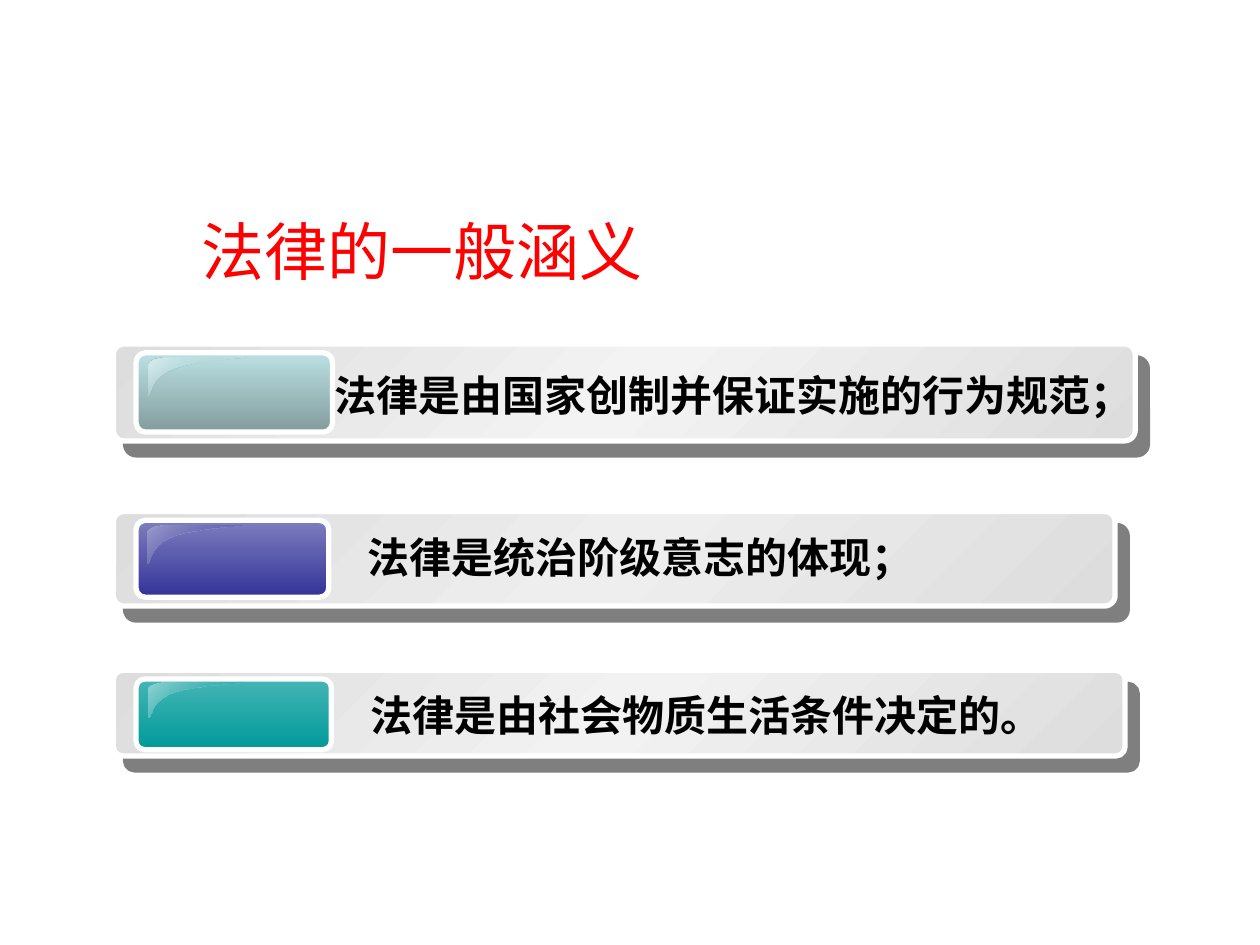
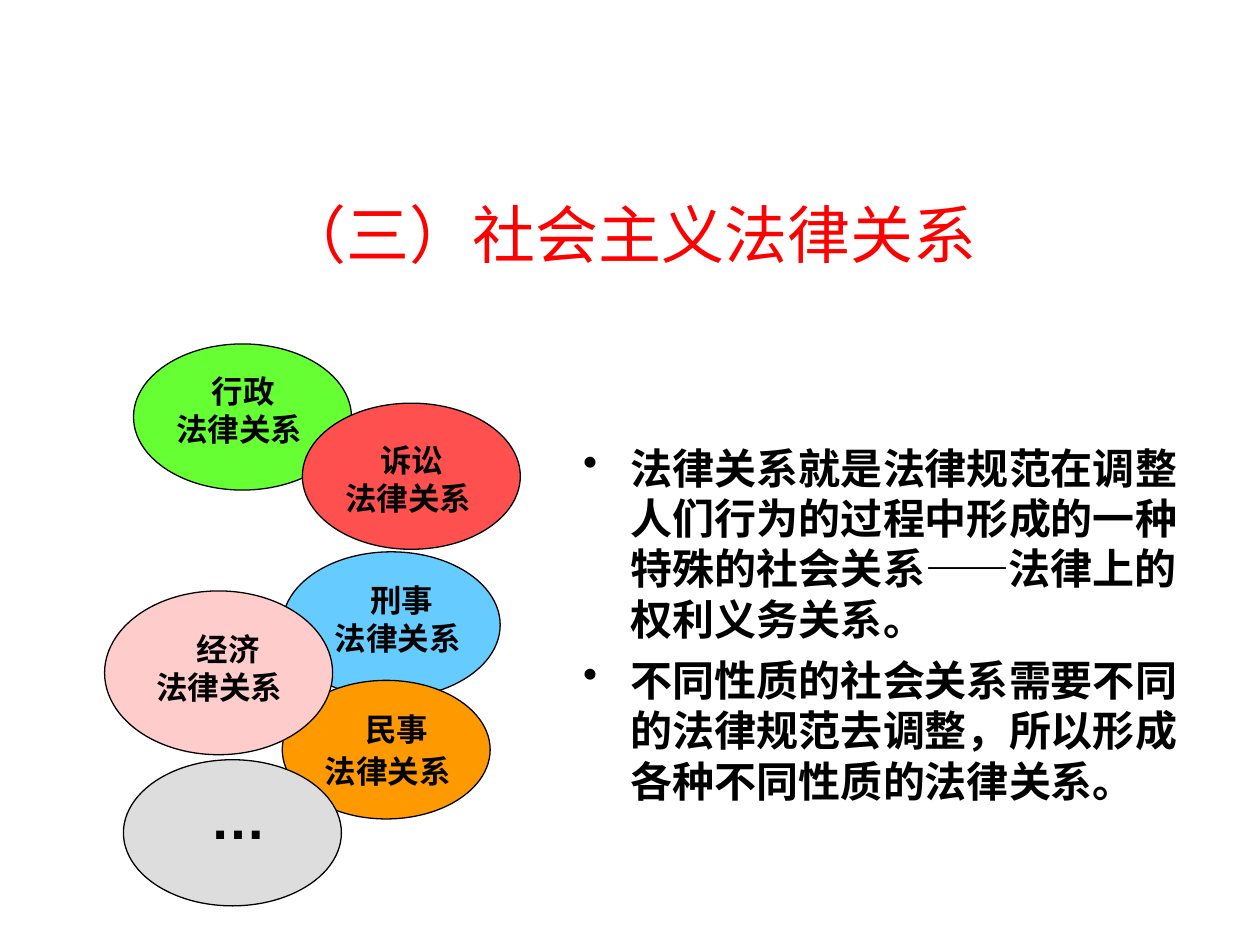
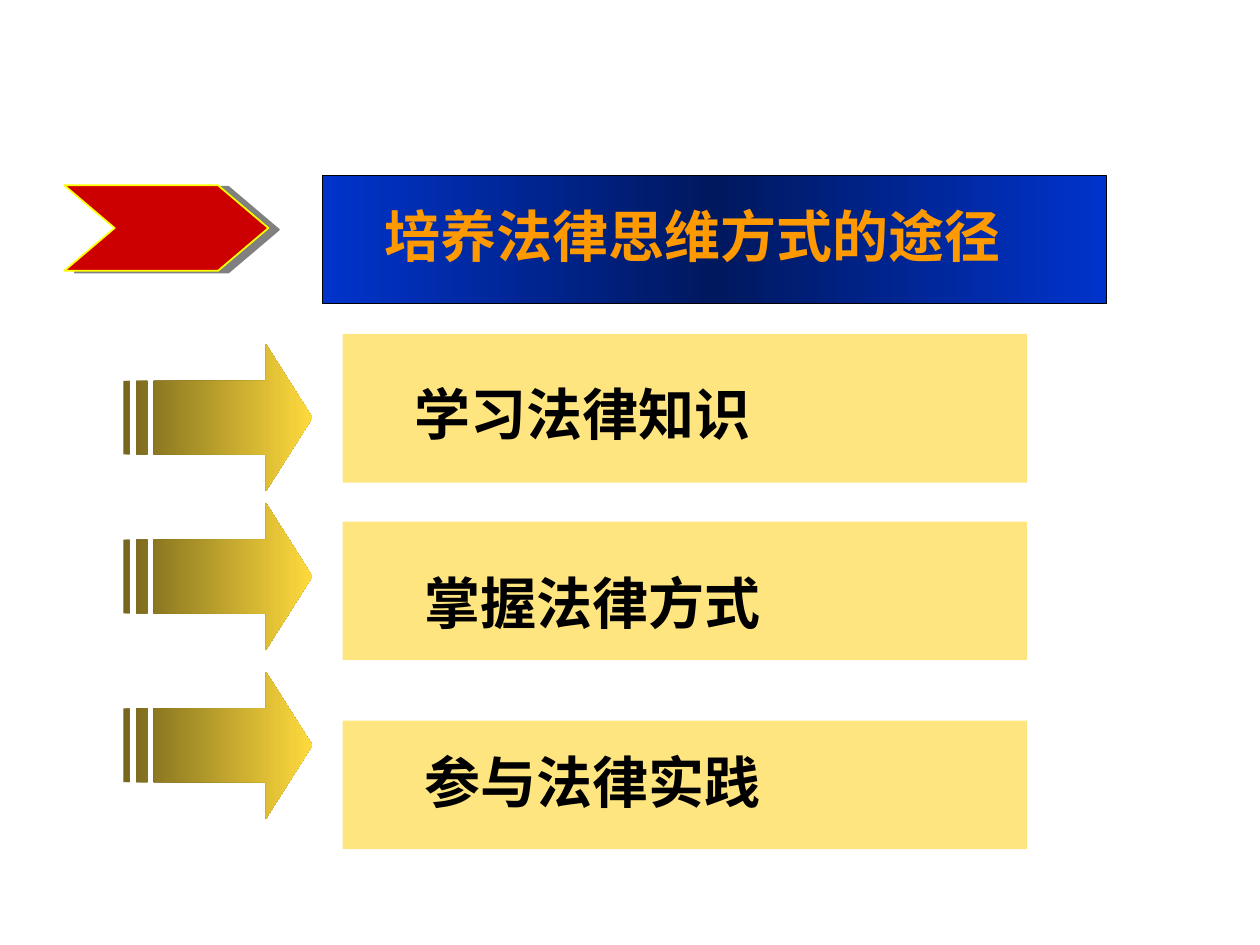
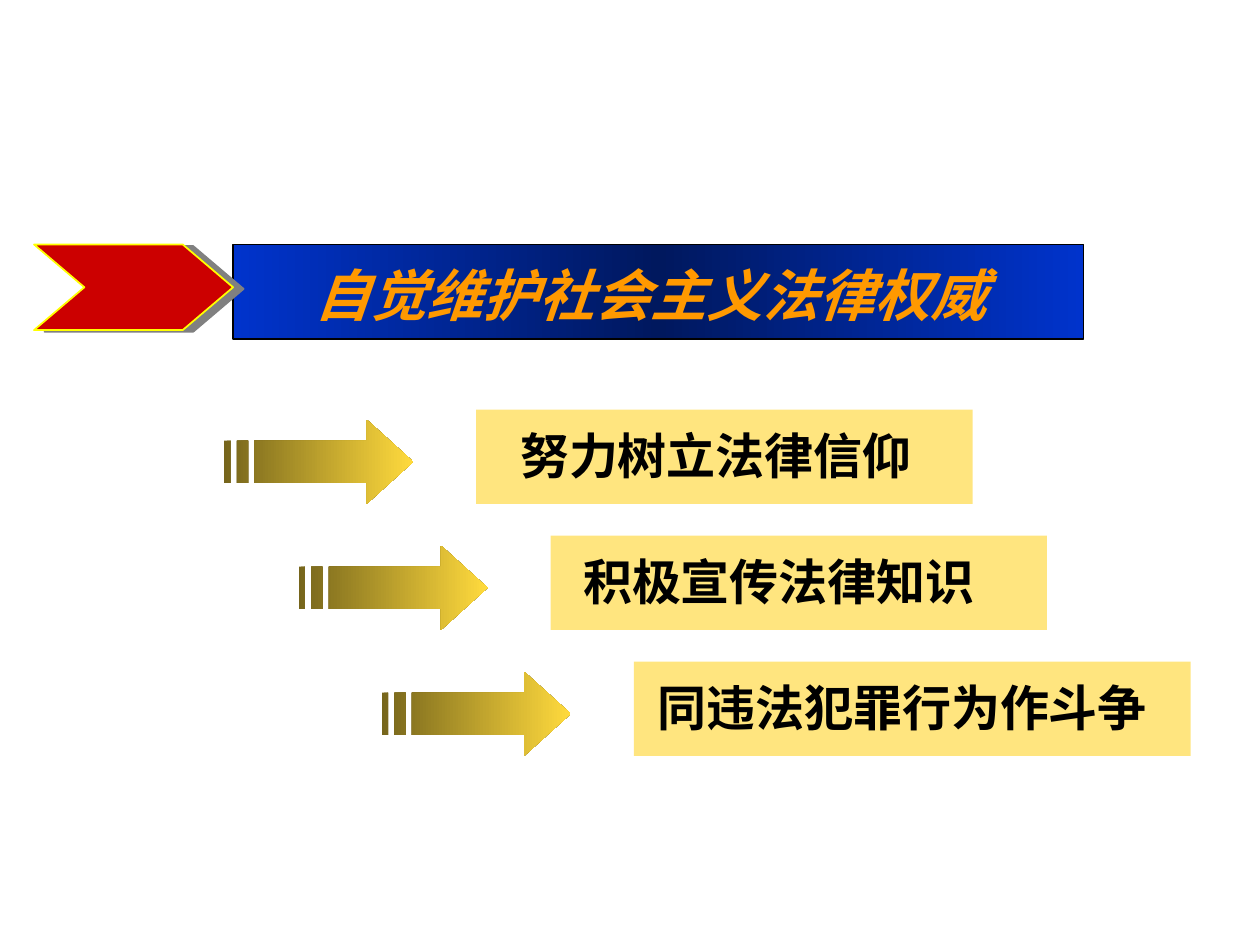
from dataclasses import dataclass
from typing import NamedTuple

from lxml import etree
from pptx import Presentation
from pptx.dml.color import RGBColor
from pptx.enum.shapes import MSO_SHAPE
from pptx.enum.text import MSO_ANCHOR, MSO_AUTO_SIZE, PP_ALIGN
from pptx.oxml.ns import qn
from pptx.util import Emu, Pt

RECTANGLE = MSO_SHAPE.RECTANGLE
ROUNDED = MSO_SHAPE.ROUNDED_RECTANGLE
OVAL = MSO_SHAPE.OVAL
LEFT = PP_ALIGN.LEFT
CENTER = PP_ALIGN.CENTER
JUSTIFY = PP_ALIGN.JUSTIFY
TOP = MSO_ANCHOR.TOP
MIDDLE = MSO_ANCHOR.MIDDLE
FIT_TEXT = MSO_AUTO_SIZE.SHAPE_TO_FIT_TEXT

EMU_PER_PX = 9144
PAGE_WIDTH, PAGE_HEIGHT = 1000, 750
HANGING = 38
CURVE_STEPS = 10

ARIAL = "Arial"
TIMES = "Times New Roman"
NOTO = "Noto Sans CJK SC"

COLORS = {
    "white": "FFFFFF",
    "black": "000000",
    "title": "FF0000",
    "silver": "DDDDDD",
    "banner_edge": "0033CC",
    "banner_middle": "00185E",
    "banner_text": "FF9900",
    "chevron": "CC0000",
    "chevron_line": "FFFF00",
    "chevron_shadow": "808080",
    "arrow_tail": "76651C",
    "arrow_head": "FFDA3D",
    "panel": "FFCC00",
    "green": "66FF33",
    "red": "FF5050",
    "blue": "66CCFF",
    "pink": "FFCCCC",
    "orange": "FF9900",
    "aqua": "BBE0E3",
    "aqua_dark": "839C9E",
    "aqua_light": "DAEEF0",
    "indigo": "333399",
    "indigo_soft": "7D7DBE",
    "indigo_light": "9C9CCD",
    "teal": "009999",
    "teal_soft": "46B5B5",
    "teal_light": "93D4D4",
    "shine_1": "F3F3F3",
    "shine_2": "EEEEEE",
    "shine_3": "F2F2F2",
}


class Box(NamedTuple):
    left: int
    top: int
    width: int
    height: int


class Stop(NamedTuple):
    position: int
    color: str
    alpha: int = 100


class Shadow(NamedTuple):
    color: str
    alpha: int
    distance: float
    angle: int


class Span(NamedTuple):
    text: str
    font: str = ""


@dataclass(frozen=True)
class TextStyle:
    size: int
    font: str = ARIAL
    color: str = "black"
    bold: bool = True
    italic: bool = False
    align: int = LEFT
    anchor: int = TOP
    fit: bool = True
    hanging: bool = False
    bullet: str = ""
    line_spacing: float = 1.0
    space_before: float = 0


@dataclass(frozen=True)
class Bar:
    box: Box
    tab: Box
    gloss: Box
    label: Box
    text: str
    shine: str
    tab_stops: tuple[Stop, ...]
    gloss_stops: tuple[Stop, ...]


@dataclass(frozen=True)
class Relation:
    oval: Box
    color: str
    label: Box
    lines: tuple[str, ...]
    line_spacing: float = 0.8


@dataclass(frozen=True)
class Step:
    arrow: Box
    panel: Box
    label: Box
    text: str


TITLE = TextStyle(36, color="title", bold=False, align=CENTER, anchor=MIDDLE, fit=False)
BAR_TEXT = TextStyle(24)
BODY = TextStyle(24, NOTO, fit=False, hanging=True, bullet="•", space_before=6)
BAR_SHADOW = Shadow("black", 50, 10.6, 49)
CHEVRON_SHADOW = Shadow("chevron_shadow", 100, 6.1, 9)
BANNER_STOPS = (Stop(0, "banner_edge"), Stop(50, "banner_middle"), Stop(100, "banner_edge"))
ARROW_STOPS = (Stop(0, "arrow_tail"), Stop(100, "arrow_head"))

GLOSS_START = (0.19, 0.0)
GLOSS_CURVES = (
    ((0.19, 0.0), (0.09, 0.0), (0.0, 0.08), (0.0, 0.19)),
    ((0.0, 0.97), (0.04, 0.97), (0.01, 0.5), (0.27, 0.28)),
    ((0.27, 0.28), (0.53, 0.06), (1.0, 0.03), (0.99, 0.0)),
)

BARS = (
    Bar(Box(90, 273, 811, 77), Box(108, 280, 156, 63), Box(118, 284, 78, 32),
        Box(256, 288, 661, 50), "法律是由国家创制并保证实施的行为规范；", "shine_1",
        (Stop(0, "aqua"), Stop(100, "aqua_dark")),
        (Stop(0, "aqua_light"), Stop(50, "aqua", 0), Stop(100, "aqua_light"))),
    Bar(Box(90, 406, 795, 75), Box(108, 413, 153, 61), Box(117, 417, 76, 31),
        Box(282, 417, 585, 50), "法律是统治阶级意志的体现；", "shine_2",
        (Stop(0, "indigo_soft"), Stop(100, "indigo")),
        (Stop(0, "indigo_light"), Stop(100, "indigo", 0))),
    Bar(Box(90, 532, 803, 68), Box(108, 539, 155, 56), Box(118, 542, 77, 28),
        Box(284, 542, 591, 50), "法律是由社会物质生活条件决定的。", "shine_3",
        (Stop(0, "teal_soft"), Stop(100, "teal")),
        (Stop(0, "teal_light"), Stop(100, "teal", 0))),
)

RELATIONS = (
    Relation(Box(224, 438, 173, 116), "blue", Box(256, 462, 126, 65), ("刑事", "法律关系")),
    Relation(Box(224, 540, 165, 110), "orange", Box(248, 562, 134, 73), ("民事", "法律关系"), 0.9),
    Relation(Box(83, 469, 181, 130), "pink", Box(114, 501, 134, 73), ("经济", "法律关系")),
    Relation(Box(106, 273, 173, 116), "green", Box(130, 296, 126, 65), ("行政", "法律关系")),
    Relation(Box(240, 320, 173, 116), "red", Box(264, 351, 126, 65), ("诉讼", "法律关系")),
    Relation(Box(98, 603, 173, 116), "silver", Box(122, 627, 134, 69), ("…",)),
)

BODY_PARAGRAPHS = (
    (
        Span("法律关系就是法律规范在调整人们行为的过程中形成的一种特殊的社会关系"),
        Span("——", ARIAL),
        Span("法律上的权利义务关系。"),
    ),
    (Span("不同性质的社会关系需要不同的法律规范去调整，所以形成各种不同性质的法律关系。"),),
)

PATHWAYS = (
    Step(Box(98, 273, 150, 117), Box(272, 265, 543, 118), Box(319, 296, 535, 64), "学习法律知识"),
    Step(Box(98, 399, 150, 117), Box(272, 414, 543, 110), Box(327, 446, 535, 64), "掌握法律方式"),
    Step(Box(98, 533, 150, 117), Box(272, 572, 543, 102), Box(327, 588, 535, 64), "参与法律实践"),
)

DUTIES = (
    Step(Box(178, 333, 150, 67), Box(378, 325, 394, 75), Box(403, 333, 353, 57), "努力树立法律信仰"),
    Step(Box(237, 433, 150, 67), Box(437, 425, 394, 75), Box(453, 433, 353, 57), "积极宣传法律知识"),
    Step(Box(303, 533, 150, 67), Box(503, 525, 442, 75), Box(512, 533, 458, 57), "同违法犯罪行为作斗争"),
)


def px(value: float) -> Emu:
    return Emu(round(value * EMU_PER_PX))


def rgb(color: str) -> RGBColor:
    return RGBColor.from_string(COLORS[color])


def add_color(parent, color: str, alpha: int) -> None:
    node = etree.SubElement(parent, qn("a:srgbClr"), val=COLORS[color])
    if alpha < 100:
        etree.SubElement(node, qn("a:alpha"), val=str(alpha * 1000))


def fill_solid(shape, color: str, alpha: int = 100) -> None:
    shape.fill.solid()
    shape.fill.fore_color.rgb = rgb(color)
    if alpha < 100:
        node = shape.element.spPr.find(qn("a:solidFill")).find(qn("a:srgbClr"))
        etree.SubElement(node, qn("a:alpha"), val=str(alpha * 1000))


def fill_gradient(shape, stops: tuple[Stop, ...], angle: int) -> None:
    shape.fill.gradient()
    gradient = shape.element.spPr.find(qn("a:gradFill"))
    for child in list(gradient):
        gradient.remove(child)
    stop_list = etree.SubElement(gradient, qn("a:gsLst"))
    for stop in stops:
        node = etree.SubElement(stop_list, qn("a:gs"), pos=str(stop.position * 1000))
        add_color(node, stop.color, stop.alpha)
    etree.SubElement(gradient, qn("a:lin"), ang=str(angle * 60000), scaled="0")


def finish(shape, line: str = "", weight: float = 0, shadow: Shadow | None = None) -> None:
    if line:
        shape.line.color.rgb = rgb(line)
        shape.line.width = Pt(weight)
    else:
        shape.line.fill.background()
    shape.shadow.inherit = False
    if shadow:
        effects = shape.element.spPr.find(qn("a:effectLst"))
        node = etree.SubElement(
            effects, qn("a:outerShdw"), blurRad="0", dist=str(Pt(shadow.distance)),
            dir=str(shadow.angle * 60000), algn="ctr", rotWithShape="0")
        add_color(node, shadow.color, shadow.alpha)


def add_preset(shapes, kind: int, box: Box):
    return shapes.add_shape(kind, *(px(length) for length in box))


def add_outline(shapes, contours: list[list[tuple[float, float]]], box: Box):
    placed = [[(px(box.left + x), px(box.top + y)) for x, y in contour] for contour in contours]
    builder = shapes.build_freeform(*placed[0][0])
    for index, contour in enumerate(placed):
        if index:
            builder.move_to(*contour[0])
        builder.add_line_segments(contour[1:], close=True)
    return builder.convert_to_shape()


def add_text(shapes, box: Box, paragraphs: tuple[tuple[Span, ...], ...], style: TextStyle,
             first_align: int | None = None) -> None:
    frame = shapes.add_textbox(*(px(length) for length in box)).text_frame
    frame.word_wrap = True
    frame.vertical_anchor = style.anchor
    if style.fit:
        frame.auto_size = FIT_TEXT
    for index, spans in enumerate(paragraphs):
        para = frame.add_paragraph() if index else frame.paragraphs[0]
        para.alignment = style.align if index or first_align is None else first_align
        para.line_spacing = style.line_spacing
        if index:
            para.space_before = Pt(style.space_before)
        properties = para._p.get_or_add_pPr()
        if style.hanging:
            properties.set("marL", str(px(HANGING)))
            properties.set("indent", str(-px(HANGING)))
        if style.bullet:
            etree.SubElement(properties, qn("a:buChar"), char=style.bullet)
        font = para.font
        font.name, font.size = style.font, Pt(style.size)
        font.bold, font.italic = style.bold, style.italic
        font.color.rgb = rgb(style.color)
        for span in spans:
            run = para.add_run()
            run.text = span.text
            if span.font:
                run.font.name = span.font


def add_line_of_text(shapes, box: Box, text: str, style: TextStyle) -> None:
    add_text(shapes, box, ((Span(text),),), style)


def curve_point(curve: tuple[tuple[float, float], ...], t: float) -> tuple[float, float]:
    weights = ((1 - t) ** 3, 3 * t * (1 - t) ** 2, 3 * t ** 2 * (1 - t), t ** 3)
    x, y = (sum(w * point[axis] for w, point in zip(weights, curve)) for axis in (0, 1))
    return x, y


def add_gloss(shapes, box: Box, stops: tuple[Stop, ...]) -> None:
    points = [GLOSS_START]
    for curve in GLOSS_CURVES:
        points += [curve_point(curve, step / CURVE_STEPS) for step in range(CURVE_STEPS + 1)]
    gloss = add_outline(shapes, [[(x * box.width, y * box.height) for x, y in points]], box)
    fill_gradient(gloss, stops, 45)
    finish(gloss)


def add_bar(page, bar: Bar) -> None:
    shapes = page.shapes.add_group_shape().shapes
    plate = add_preset(shapes, ROUNDED, bar.box)
    plate.adjustments[0] = 0.11
    fill_gradient(plate, (Stop(0, "silver"), Stop(50, bar.shine), Stop(100, "silver")), 45)
    finish(plate, "white", 3, BAR_SHADOW)
    tab = add_preset(shapes, ROUNDED, bar.tab)
    tab.adjustments[0] = 0.12
    fill_gradient(tab, bar.tab_stops, 90)
    finish(tab, "white", 3)
    add_gloss(shapes, bar.gloss, bar.gloss_stops)
    add_line_of_text(shapes, bar.label, bar.text, BAR_TEXT)


def add_relation(page, relation: Relation) -> None:
    oval = add_preset(page.shapes, OVAL, relation.oval)
    fill_solid(oval, relation.color)
    finish(oval, "black", 0.75)
    size = 18 if len(relation.lines) > 1 else 32
    style = TextStyle(size, fit=False, hanging=True, line_spacing=relation.line_spacing,
                      space_before=4.5)
    paragraphs = tuple((Span(line),) for line in relation.lines)
    add_text(page.shapes, relation.label, paragraphs, style, first_align=CENTER)


def add_banner(page, box: Box, label: Box, text: str, italic: bool = False) -> None:
    banner = add_preset(page.shapes, RECTANGLE, box)
    fill_gradient(banner, BANNER_STOPS, 0)
    finish(banner, "black", 0.75)
    style = TextStyle(32, TIMES, "banner_text", italic=italic, align=JUSTIFY)
    add_line_of_text(page.shapes, label, text, style)


def add_chevron(page, box: Box) -> None:
    notch, middle = 40, box.height / 2
    shoulder = box.width - notch
    points = [(0, 0), (shoulder, 0), (box.width, middle), (shoulder, box.height),
              (0, box.height), (notch, middle)]
    chevron = add_outline(page.shapes, [points], box)
    fill_solid(chevron, "chevron")
    finish(chevron, "chevron_line", 1, CHEVRON_SHADOW)


def add_striped_arrow(page, box: Box) -> None:
    upper, lower = box.height / 4, box.height * 3 / 4
    neck = 113
    head = [(neck, 0), (neck, upper), (24, upper), (24, lower), (neck, lower),
            (neck, box.height), (box.width, box.height / 2)]
    stripes = [[(start, upper), (start, lower), (end, lower), (end, upper)]
               for start, end in ((10, 19), (0, 5))]
    arrow = add_outline(page.shapes, [head, *stripes], box)
    fill_gradient(arrow, ARROW_STOPS, 0)
    finish(arrow)


def add_step(page, step: Step, style: TextStyle) -> None:
    panel = add_preset(page.shapes, RECTANGLE, step.panel)
    fill_solid(panel, "panel", 50)
    finish(panel)
    add_line_of_text(page.shapes, step.label, step.text, style)
    add_striped_arrow(page, step.arrow)


def build_meaning(page) -> None:
    add_line_of_text(page.shapes, Box(122, 155, 425, 87), "法律的一般涵义", TITLE)
    for bar in BARS:
        add_bar(page, bar)


def build_relations(page) -> None:
    add_line_of_text(page.shapes, Box(185, 123, 630, 125), "（三）社会主义法律关系", TITLE)
    for relation in RELATIONS:
        add_relation(page, relation)
    add_text(page.shapes, Box(453, 346, 504, 305), BODY_PARAGRAPHS, BODY)


def build_pathways(page) -> None:
    add_banner(page, Box(256, 139, 622, 102), Box(295, 155, 551, 64), "培养法律思维方式的途径")
    add_chevron(page, Box(51, 147, 162, 68))
    for step in PATHWAYS:
        add_step(page, step, TextStyle(32, NOTO))


def build_duties(page) -> None:
    add_banner(page, Box(185, 194, 675, 75), Box(240, 202, 567, 64),
               "自觉维护社会主义法律权威", italic=True)
    add_chevron(page, Box(27, 194, 158, 68))
    for step in DUTIES:
        add_step(page, step, TextStyle(28, TIMES))


def main() -> None:
    deck = Presentation()
    deck.slide_width, deck.slide_height = px(PAGE_WIDTH), px(PAGE_HEIGHT)
    blank = deck.slide_layouts[6]
    for build in (build_meaning, build_relations, build_pathways, build_duties):
        build(deck.slides.add_slide(blank))
    deck.save("out.pptx")


if __name__ == "__main__":
    main()
